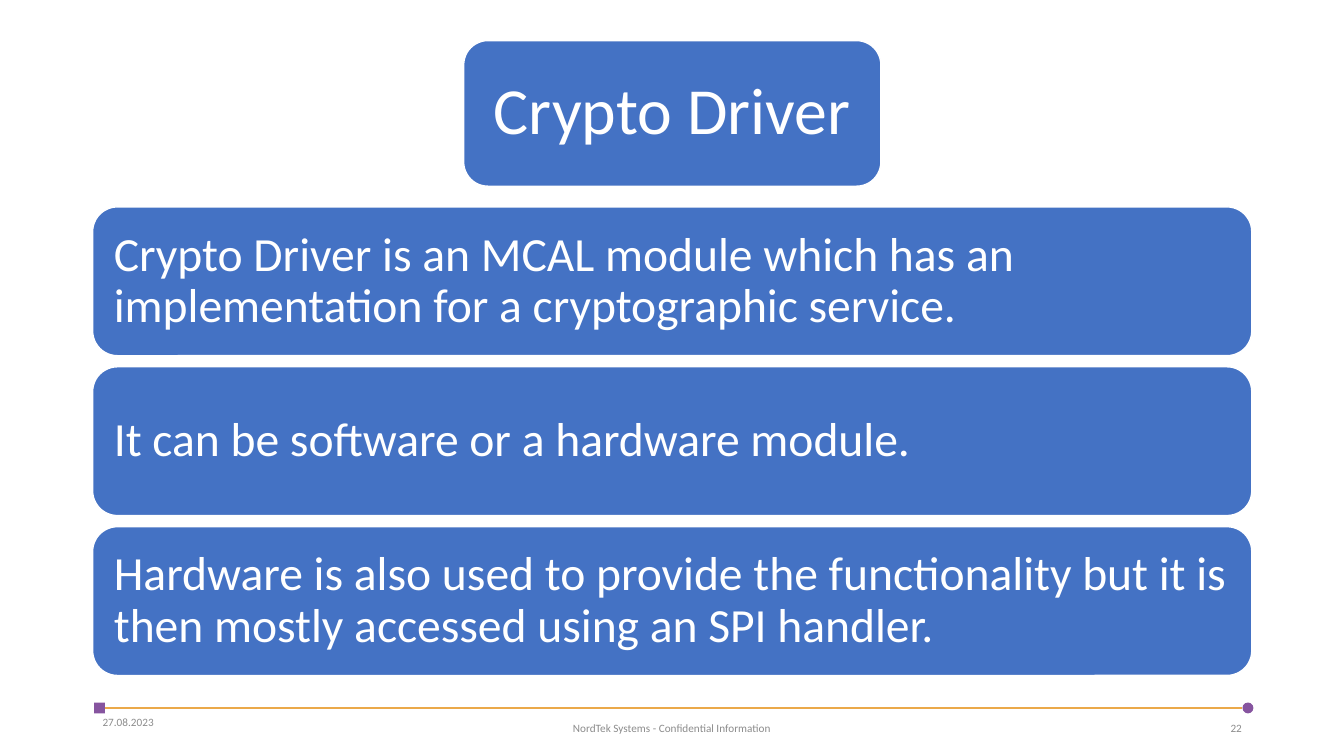
from pptx import Presentation
from pptx.dml.color import RGBColor
from pptx.enum.shapes import MSO_CONNECTOR, MSO_SHAPE
from pptx.enum.text import MSO_ANCHOR, PP_ALIGN
from pptx.oxml.ns import qn
from pptx.util import Pt
from lxml import etree

WHITE = RGBColor(0xFF, 0xFF, 0xFF)
BLUE = RGBColor(0x44, 0x72, 0xC4)
GOLD = RGBColor(0xEB, 0xA9, 0x4A)
PURPLE = RGBColor(0x86, 0x54, 0x9F)
GRAY = RGBColor(0x8C, 0x8C, 0x8C)

ROUND, RECT, OVAL = MSO_SHAPE.ROUNDED_RECTANGLE, MSO_SHAPE.RECTANGLE, MSO_SHAPE.OVAL
STRAIGHT = MSO_CONNECTOR.STRAIGHT
LEFT, CENTER, RIGHT = PP_ALIGN.LEFT, PP_ALIGN.CENTER, PP_ALIGN.RIGHT
MIDDLE = MSO_ANCHOR.MIDDLE
RIGHT_SIDE = 3

EDGE, WIDE = 66.2, 828
CARD_TOP, CARD_HIGH, CARD_STEP = 147.8, 106.3, 114.2
CARDS = (
    "Crypto Driver is an MCAL module which has an implementation for a cryptographic service.",
    "It can be software or a hardware module.",
    "Hardware is also used to provide the functionality but it is then mostly accessed using an SPI handler.",
)
RULE_MID, MARK = 505.7, 7.8


class Page:
    """Draws elements on one slide in a shared style; lengths in points."""

    font = "Calibri"

    def __init__(self, slide):
        self.shapes = slide.shapes

    def set_text(self, shape, text, size, color, align):
        frame = shape.text_frame
        frame.word_wrap = True
        frame.vertical_anchor = MIDDLE
        frame.text = text
        para = frame.paragraphs[0]
        para.alignment = align
        font = para.runs[0].font
        font.name, font.size = self.font, Pt(size)
        font.color.rgb = color

    def block(self, kind, x, y, w, h, fill):
        shape = self.shapes.add_shape(kind, Pt(x), Pt(y), Pt(w), Pt(h))
        shape.shadow.inherit = False
        shape.fill.solid()
        shape.fill.fore_color.rgb = fill
        shape.line.fill.background()
        return shape

    def card(self, x, y, w, h, text, size, align=LEFT):
        shape = self.block(ROUND, x, y, w, h, BLUE)
        shape.line.color.rgb = WHITE
        shape.line.width = Pt(1)
        self.set_text(shape, text, size, WHITE, align)
        frame = shape.text_frame
        frame.margin_left = frame.margin_right = Pt(10)
        frame.margin_top = frame.margin_bottom = Pt(7)
        frame.paragraphs[0].line_spacing = 0.9

    def label(self, x, y, w, text, align):
        box = self.shapes.add_textbox(Pt(x), Pt(y), Pt(w), Pt(18))
        self.set_text(box, text, 8, GRAY, align)

    def rule(self, start, x, y):
        """Draw a line from the right side of start to the point x, y."""
        line = self.shapes.add_connector(STRAIGHT, Pt(x), Pt(y), Pt(x), Pt(y))
        line.begin_connect(start, RIGHT_SIDE)
        line.line.color.rgb = GOLD
        line.line.width = Pt(1.4)
        etree.SubElement(line._element.spPr, qn("a:effectLst"))


def main():
    deck = Presentation()
    deck.slide_width, deck.slide_height = Pt(960), Pt(540)
    page = Page(deck.slides.add_slide(deck.slide_layouts[6]))

    mark_top = RULE_MID - MARK / 2
    square = page.block(RECT, 67.2, mark_top, MARK, MARK, PURPLE)
    dot_left = 887.5
    page.rule(square, dot_left, RULE_MID)
    page.block(OVAL, dot_left, mark_top, MARK, MARK, PURPLE)

    page.label(EDGE, 506.9, 216, "27.08.2023", LEFT)
    page.label(318, 511.2, 324, "NordTek Systems - Confidential Information", CENTER)
    page.label(678.2, 511.2, 216, "22", RIGHT)

    page.card(331.2, 29, 298, 104, "Crypto Driver", 47, CENTER)
    for row, text in enumerate(CARDS):
        page.card(EDGE, CARD_TOP + row * CARD_STEP, WIDE, CARD_HIGH, text, 34)

    deck.save("out.pptx")


if __name__ == "__main__":
    main()
